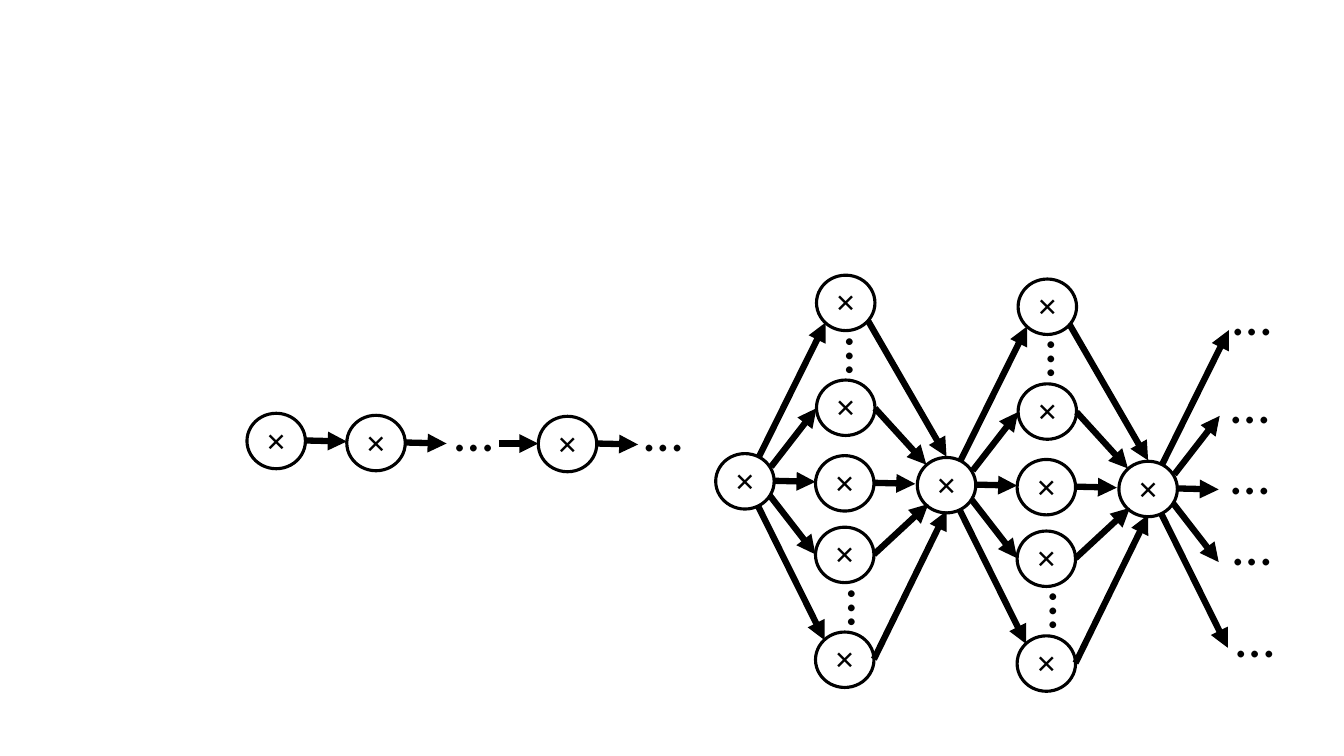
from lxml.etree import SubElement
from pptx import Presentation
from pptx.dml.color import RGBColor
from pptx.enum.shapes import MSO_CONNECTOR, MSO_SHAPE
from pptx.enum.text import MSO_ANCHOR, MSO_AUTO_SIZE, PP_ALIGN
from pptx.oxml.ns import qn
from pptx.util import Inches, Pt

COLORS = {"ink": "000000", "paper": "FFFFFF"}
CELL = Inches(0.1)
COLUMNS, ROWS = 133.33, 75
NODE_SIZE = (5.8, 5.5)
DOTS_SIZE = (5.9, 7.7)
CROSS_FONT = {"size": Pt(18), "bold": True, "name": "Calibri"}
DOTS_FONT = {"size": Pt(40), "name": "Calibri"}
CROSS_FRAME = {"vertical_anchor": MSO_ANCHOR.MIDDLE, "word_wrap": True}
DOTS_FRAME = {"word_wrap": False, "auto_size": MSO_AUTO_SIZE.SHAPE_TO_FIT_TEXT}

CHAIN_NODES = [(24.5, 41), (34.4, 41.2), (53.4, 41.3)]
CHAIN_ARROWS = [
    ((30.3, 43.7), (34.4, 43.8)),
    ((40.2, 43.9), (44.3, 44)),
    ((59.2, 44), (63.3, 44.1)),
    ((49.5, 44), (53.4, 44)),
]
CHAIN_DOTS = [(44.1, 38.7), (62.9, 38.7)]

HUBS = [(71 + 20 * stage, 45 + 0.38 * stage) for stage in range(3)]
FAN_OUT = [
    ((4.3, 0.3), (10.9, -13)),
    ((5.5, 1.3), (10, -4.5)),
    ((5.8, 2.7), (9.9, 2.8)),
    ((5.4, 4.2), (9.9, 10)),
    ((4.2, 5.2), (10.8, 18.5)),
]
FAN_IN = [
    ((15.1, -13.2), (22.9, 0.3)),
    ((15.8, -4.5), (20.9, 1.1)),
    ((15.7, 2.9), (19.8, 3)),
    ((15.7, 10), (21.1, 5)),
    ((15.7, 20.4), (22.9, 5.7)),
]
BRANCH_NODES = [(10, -17.7), (10, -7.3), (9.9, 0.2), (9.9, 7.3), (9.9, 17.7)]
BRANCH_DOTS = [(8.4, -13.6), (8.6, 11.4)]
END_DOTS = [(121.3, 27.2), (121.1, 36), (121.1, 43), (121.3, 50.1), (121.6, 59.2)]


class Diagram:
    """Draws nodes, arrows and ellipses on a grid of tenths of an inch."""

    def __init__(self):
        self.deck = Presentation()
        self.deck.slide_width = self.length(COLUMNS)
        self.deck.slide_height = self.length(ROWS)
        self.slide = self.deck.slides.add_slide(self.deck.slide_layouts[6])

    def length(self, cells):
        return round(cells * CELL)

    def box(self, corner, size):
        return [self.length(cells) for cells in (*corner, *size)]

    def color(self, name):
        return RGBColor.from_string(COLORS[name])

    def label(self, frame, text, frame_format, font_format):
        for key, value in frame_format.items():
            setattr(frame, key, value)
        run = frame.paragraphs[0].add_run()
        run.text = text
        for key, value in font_format.items():
            setattr(run.font, key, value)
        run.font.color.rgb = self.color("ink")

    def node(self, corner):
        circle = self.slide.shapes.add_shape(MSO_SHAPE.OVAL, *self.box(corner, NODE_SIZE))
        circle.shadow.inherit = False
        circle.fill.solid()
        circle.fill.fore_color.rgb = self.color("paper")
        circle.line.color.rgb = self.color("ink")
        circle.line.width = Pt(2.25)
        self.label(circle.text_frame, "✕", CROSS_FRAME, CROSS_FONT)
        circle.text_frame.paragraphs[0].alignment = PP_ALIGN.CENTER

    def dots(self, corner, rotation=0):
        ellipsis = self.slide.shapes.add_textbox(*self.box(corner, DOTS_SIZE))
        ellipsis.rotation = rotation
        self.label(ellipsis.text_frame, "…", DOTS_FRAME, DOTS_FONT)

    def arrow(self, start, end):
        link = self.slide.shapes.add_connector(MSO_CONNECTOR.STRAIGHT, *self.box(start, end))
        link.line.color.rgb = self.color("ink")
        link.line.width = Pt(4.5)
        properties = link._element.spPr
        SubElement(properties.get_or_add_ln(), qn("a:tailEnd"), type="triangle")
        SubElement(properties, qn("a:effectLst"))

    def save(self):
        self.deck.save("out.pptx")


def shifted(origin, offset):
    return origin[0] + offset[0], origin[1] + offset[1]


def draw_chain(diagram):
    for corner in CHAIN_NODES:
        diagram.node(corner)
    for start, end in CHAIN_ARROWS:
        diagram.arrow(start, end)
    for corner in CHAIN_DOTS:
        diagram.dots(corner)


def draw_network(diagram):
    for hub in HUBS:
        diagram.node(hub)
    for hub in HUBS[:-1]:
        for offset in BRANCH_NODES:
            diagram.node(shifted(hub, offset))
        for offset in BRANCH_DOTS:
            diagram.dots(shifted(hub, offset), rotation=270)
        for start, end in FAN_IN:
            diagram.arrow(shifted(hub, start), shifted(hub, end))
    for hub in HUBS:
        for start, end in FAN_OUT:
            diagram.arrow(shifted(hub, start), shifted(hub, end))
    for corner in END_DOTS:
        diagram.dots(corner)


def main():
    diagram = Diagram()
    draw_chain(diagram)
    draw_network(diagram)
    diagram.save()


if __name__ == "__main__":
    main()
